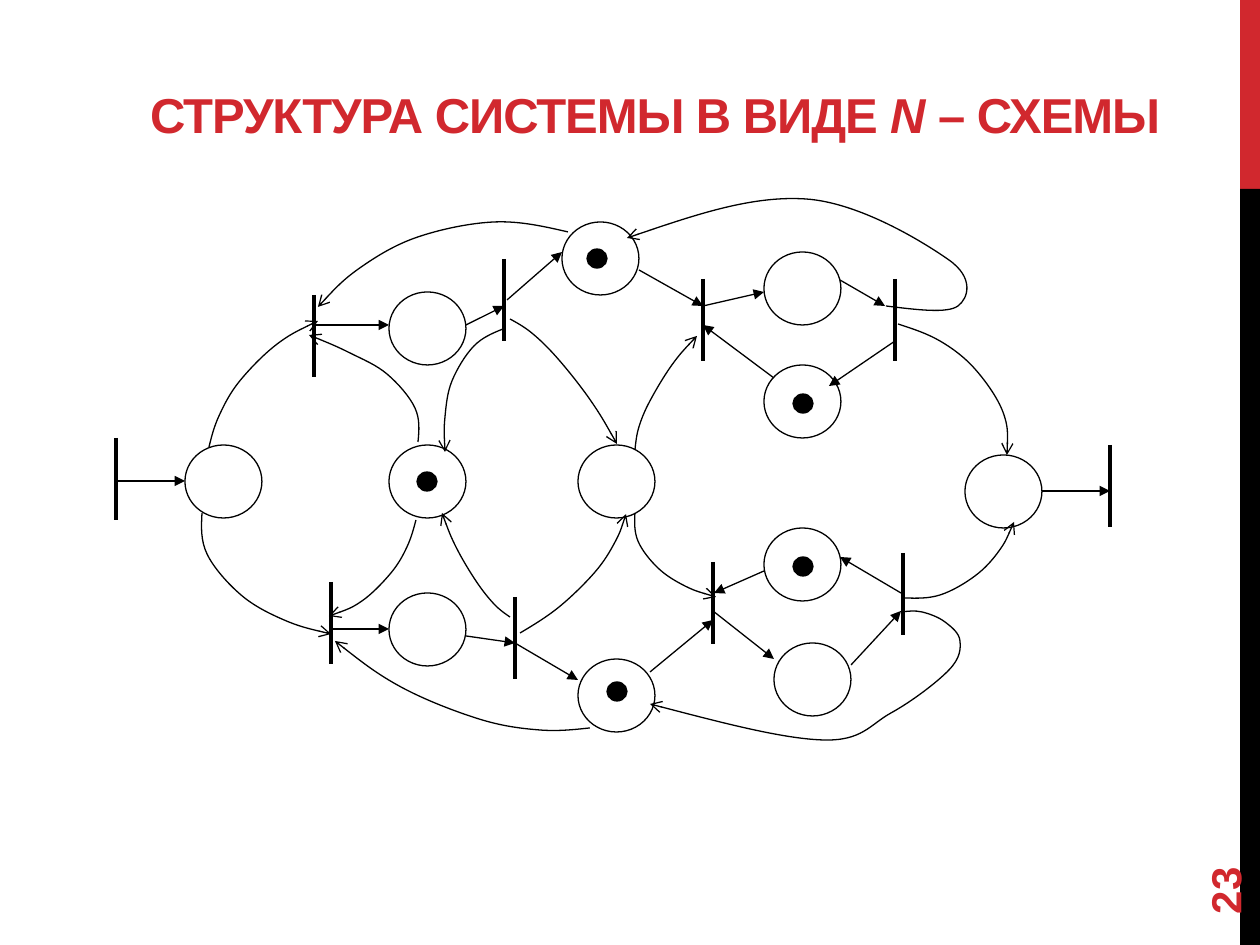
from pptx import Presentation, util as u
from pptx.dml.color import RGBColor
from pptx.enum import shapes, text
from pptx.oxml import ns, xmlchemy as xml

PX = 914400 / 126
RED, BLACK, WHITE = "D1282E", "000000", "FFFFFF"

PLACE_SIZE, TOKEN_SIZE, BAR_HEIGHT = (77, 73), (20, 19), 82
PLACES = [(85, 345), (478, 345), (289, 192), (462, 122), (289, 345), (289, 493),
          (478, 559), (664, 152), (664, 265), (664, 428), (674, 543), (865, 355)]
TOKENS = [(317, 372), (487, 149), (693, 294), (693, 457), (507, 582)]
BARS = [(16, 338), (214, 195), (231, 482), (1010, 345), (415, 497),
        (404, 159), (603, 179), (613, 462), (795, 179), (803, 453)]
ARROWS = [
    (16, 381, 85, 381), (942, 391, 1010, 391), (214, 225, 289, 225),
    (231, 529, 289, 529), (366, 536, 415, 543), (366, 225, 404, 206),
    (539, 170, 603, 206), (603, 206, 664, 192), (740, 180, 785, 206),
    (795, 241, 729, 286), (674, 278, 603, 225), (407, 200, 462, 152),
    (801, 493, 740, 457), (751, 565, 801, 511), (664, 471, 614, 493),
    (613, 511, 674, 559), (550, 572, 613, 520), (415, 543, 478, 580),
]
# Points each curved arc passes through, ending at its arrowhead
ARCS = [
    [(403, 229), (374, 246), (352, 281), (345, 317), (345, 352)],
    [(420, 533), (459, 507), (495, 472), (515, 442), (526, 414)],
    [(102, 413), (107, 454), (141, 495), (184, 520), (231, 534)],
    [(410, 517), (394, 504), (376, 481), (356, 447), (342, 413)],
    [(805, 498), (840, 495), (875, 476), (899, 451), (914, 422)],
    [(468, 132), (396, 122), (318, 137), (260, 168), (218, 207)],
    [(109, 347), (119, 316), (139, 282), (176, 245), (218, 221)],
    [(535, 413), (538, 441), (558, 468), (585, 486), (616, 497)],
    [(318, 342), (315, 308), (287, 274), (250, 253), (209, 235)],
    [(535, 350), (539, 327), (550, 301), (572, 265), (597, 236)],
    [(316, 420), (307, 447), (291, 473), (262, 501), (229, 516)],
    [(410, 219), (433, 234), (459, 260), (491, 301), (517, 344)],
    [(490, 628), (439, 630), (379, 619), (301, 587), (235, 541)],
    [(798, 224), (840, 241), (875, 269), (903, 312), (907, 355)],
    [(786, 206), (858, 206), (849, 160), (706, 99), (527, 138)],
    [(802, 512), (822, 512), (845, 522), (860, 541), (849, 570),
     (791, 613), (722, 640), (550, 604)],
]


def px(*lengths):
    return [round(length * PX) for length in lengths]


def color(value):
    return RGBColor.from_string(value)


def add_preset(page, kind, box, fill, outline=None):
    shape = page.shapes.add_shape(kind, *px(*box))
    shape.shadow.inherit = False
    shape.fill.solid()
    shape.fill.fore_color.rgb = color(fill)
    if outline:
        set_line(shape, 0.75)
    else:
        shape.line.fill.background()


def set_line(shape, width, head=None):
    shape.line.color.rgb = color(BLACK)
    shape.line.width = u.Pt(width)
    if head:
        end = xml.OxmlElement("a:tailEnd")
        end.set("type", head)
        shape.line._get_or_add_ln().append(end)


def add_straight(page, ends, width, head=None):
    line = page.shapes.add_connector(shapes.MSO_CONNECTOR.STRAIGHT, *px(*ends))
    set_line(line, width, head)
    line._element.spPr.append(xml.OxmlElement("a:effectLst"))


def bezier_points(points):
    """Return two controls and an end for each span of a smooth curve."""
    def shifted(i, sign):
        return tuple(p + sign * (after - before) / 6 for before, p, after
                     in zip(points[i - 1], points[i], points[i + 1]))

    def middle(a, b):
        return tuple((m + n) / 2 for m, n in zip(a, b))

    last = len(points) - 1
    result = []
    for i in range(last):
        leave = shifted(i, 1) if i else middle(points[0], shifted(1, -1))
        arrive = (shifted(i + 1, -1) if i + 1 < last
                  else middle(leave, points[last]))
        result += [leave, arrive, points[i + 1]]
    return result


def add_arc(page, points):
    builder = page.shapes.build_freeform(*px(*points[0]))
    builder.add_line_segments([px(*p) for p in bezier_points(points)], close=False)
    arc = builder.convert_to_shape()
    segments = list(arc._element.iter(ns.qn("a:lnTo")))
    for i in range(0, len(segments), 3):
        curve = xml.OxmlElement("a:cubicBezTo")
        segments[i].addprevious(curve)
        for segment in segments[i:i + 3]:
            curve.append(segment[0])
            segment.getparent().remove(segment)
    arc.fill.background()
    set_line(arc, 0.75, "arrow")
    arc.shadow.inherit = False


def add_net(page, left, top):
    """Draw the Petri net with its places, transitions, arcs and tokens."""
    oval = shapes.MSO_SHAPE.OVAL
    for x, y in PLACES:
        add_preset(page, oval, (left + x, top + y, *PLACE_SIZE), WHITE, BLACK)
    for x, y in BARS:
        add_straight(page, (left + x, top + y, left + x, top + y + BAR_HEIGHT), 2.25)
    for x1, y1, x2, y2 in ARROWS:
        add_straight(page, (left + x1, top + y1, left + x2, top + y2), 0.75, "triangle")
    for points in ARCS:
        add_arc(page, [(left + x, top + y) for x, y in points])
    for x, y in TOKENS:
        add_preset(page, oval, (left + x, top + y, *TOKEN_SIZE), BLACK, BLACK)


def add_text(page, box, spans, size, anchor):
    """Add one bold red line; spans are pairs of wording and italic flag."""
    shape = page.shapes.add_textbox(*px(*box))
    frame = shape.text_frame
    frame.word_wrap = True
    frame.vertical_anchor = anchor
    para = frame.paragraphs[0]
    para.font.name, para.font.size, para.font.bold = "Arial", u.Pt(size), True
    para.font.color.rgb = color(RED)
    for wording, italic in spans:
        span = para.add_run()
        span.text = wording
        span.font.name, span.font.size, span.font.bold = "Arial", u.Pt(size), True
        span.font.color.rgb = color(RED)
        span.font.italic = italic
    return shape


def add_title(page, box):
    spans = [("СТРУКТУРА СИСТЕМЫ В ВИДЕ ", False), ("N", True), (" – СХЕМЫ", False)]
    title = add_text(page, box, spans, 28, text.MSO_ANCHOR.BOTTOM)
    title.text_frame.margin_right = px(25)[0]
    para = title.text_frame.paragraphs[0]
    para.alignment = text.PP_ALIGN.RIGHT
    for span in para.runs:
        span.font._element.set("spc", "-60")


def add_side_band(page, left, top, width, height):
    red_height = height // 5
    rectangle = shapes.MSO_SHAPE.RECTANGLE
    add_preset(page, rectangle, (left, top, width, red_height), RED)
    add_preset(page, rectangle,
               (left, top + red_height, width, height - red_height), BLACK)


def add_page_number(page, box):
    number = add_text(page, box, [("23", False)], 24, text.MSO_ANCHOR.MIDDLE)
    number.rotation = 270


def main():
    deck = Presentation()
    deck.slide_width, deck.slide_height = px(1260, 945)
    page = deck.slides.add_slide(deck.slide_layouts[6])
    add_side_band(page, 1240, 0, 20, 945)
    add_title(page, (83, 45, 1102, 105))
    add_net(page, 100, 100)
    add_page_number(page, (1134, 811, 181, 50))
    deck.save("out.pptx")


if __name__ == "__main__":
    main()
